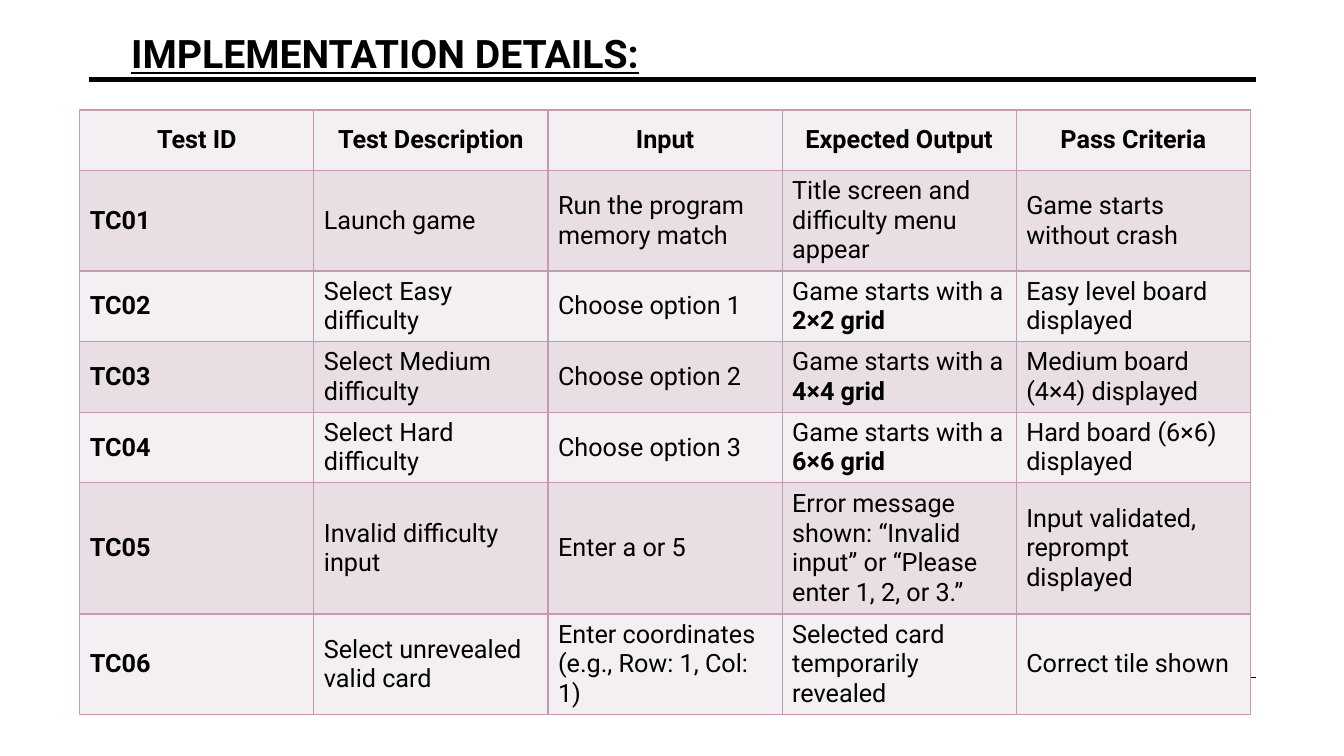
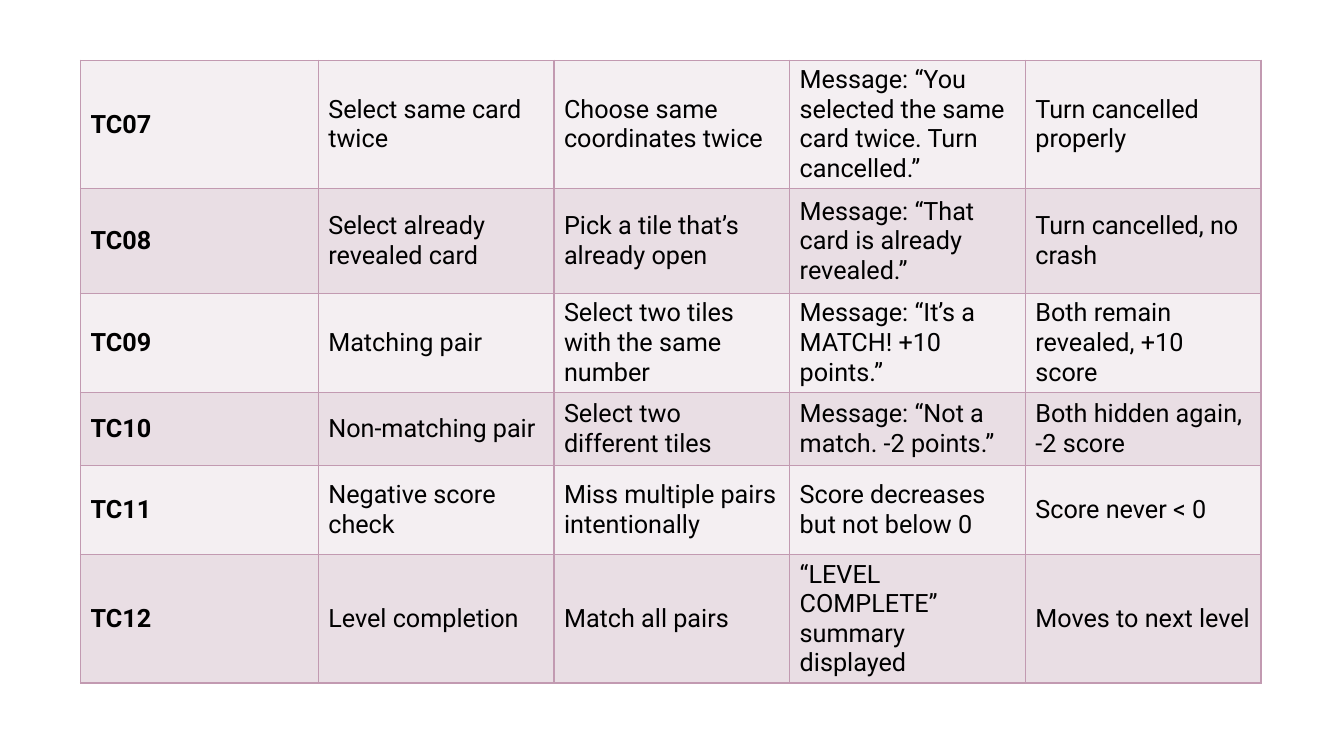
from lxml import etree
from pptx import Presentation
from pptx.dml.color import RGBColor
from pptx.enum.shapes import MSO_CONNECTOR
from pptx.enum.text import MSO_ANCHOR, MSO_AUTO_SIZE, PP_ALIGN
from pptx.oxml.ns import qn
from pptx.util import Cm, Pt

STRAIGHT = MSO_CONNECTOR.STRAIGHT
MIDDLE = MSO_ANCHOR.MIDDLE
FIT = MSO_AUTO_SIZE.SHAPE_TO_FIT_TEXT
LEFT, CENTER = PP_ALIGN.LEFT, PP_ALIGN.CENTER

BLACK = RGBColor(0x00, 0x00, 0x00)
PALE = RGBColor(0xF4, 0xEF, 0xF2)
PINK = RGBColor(0xE9, 0xDE, 0xE4)
MAUVE = RGBColor(0xC2, 0x9A, 0xB1)
FONT = "Roboto"
TITLE_ONLY, BLANK = 5, 6

HEADS = ["Test ID", "Test Description", "Input", "Expected Output", "Pass Criteria"]
START_TESTS = [
    ["TC01", "Launch game", "Run the program memory match",
     "Title screen and difficulty menu appear", "Game starts without crash"],
    ["TC02", "Select Easy difficulty", "Choose option 1",
     "Game starts with a |2×2 grid", "Easy level board displayed"],
    ["TC03", "Select Medium difficulty", "Choose option 2",
     "Game starts with a |4×4 grid", "Medium board (4×4) displayed"],
    ["TC04", "Select Hard difficulty", "Choose option 3",
     "Game starts with a |6×6 grid", "Hard board (6×6) displayed"],
    ["TC05", "Invalid difficulty input", "Enter a or 5",
     "Error message shown: “Invalid input” or “Please enter 1, 2, or 3.”",
     "Input validated, reprompt displayed"],
    ["TC06", "Select unrevealed valid card", "Enter coordinates (e.g., Row: 1, Col: 1)",
     "Selected card temporarily revealed", "Correct tile shown"],
]
PLAY_TESTS = [
    ["TC07", "Select same card twice", "Choose same coordinates twice",
     "Message: “You selected the same card twice. Turn cancelled.”",
     "Turn cancelled properly"],
    ["TC08", "Select already revealed card", "Pick a tile that’s already open",
     "Message: “That card is already revealed.”", "Turn cancelled, no crash"],
    ["TC09", "Matching pair", "Select two tiles with the same number",
     "Message: “It’s a MATCH! +10 points.”", "Both remain revealed, +10 score"],
    ["TC10", "Non-matching pair", "Select two different tiles",
     "Message: “Not a match. -2 points.”", "Both hidden again, -2 score"],
    ["TC11", "Negative score check", "Miss multiple pairs intentionally",
     "Score decreases but not below 0", "Score never < 0"],
    ["TC12", "Level completion", "Match all pairs",
     "“LEVEL COMPLETE” summary displayed", "Moves to next level"],
]


def set_font(font, size, bold):
    font.name = FONT
    font.size = Pt(size)
    font.bold = bold
    font.color.rgb = BLACK


def add_rule(slide, top, weight):
    rule = slide.shapes.add_connector(STRAIGHT, Cm(2.24), Cm(top), Cm(31.65), Cm(top))
    rule.line.color.rgb = BLACK
    rule.line.width = Pt(weight)
    etree.SubElement(rule.element.spPr, qn("a:effectLst"))
    slide.slide_layout.slide_master.shapes.element.append(rule.element)


def set_title(slide, text):
    title = slide.shapes.title
    title.left, title.top = Cm(3.05), Cm(0.61)
    title.width, title.height = Cm(15.42), Cm(1.45)
    frame = title.text_frame
    frame.text = text
    frame.word_wrap = False
    frame.auto_size = FIT
    frame.vertical_anchor = MIDDLE
    line = frame.paragraphs[0]
    line.alignment = LEFT
    set_font(line.font, 28, True)
    line.font.underline = True


def add_border(cell):
    props = cell._tc.get_or_add_tcPr()
    for side in ("lnL", "lnR", "lnT", "lnB"):
        edge = etree.SubElement(props, qn(f"a:{side}"), w=str(Pt(1)))
        fill = etree.SubElement(edge, qn("a:solidFill"))
        etree.SubElement(fill, qn("a:srgbClr"), val=str(MAUVE))


def fill_cell(cell, text, color, bold, align):
    add_border(cell)
    cell.fill.solid()
    cell.fill.fore_color.rgb = color
    cell.vertical_anchor = MIDDLE
    line = cell.text_frame.paragraphs[0]
    line.alignment = align
    set_font(line.font, 18, bold)
    plain, _, strong = text.partition("|")
    line.add_run().text = plain
    if strong:
        run = line.add_run()
        run.text = strong
        run.font.bold = True


def add_tests(slide, left, top, widths, heights, rows):
    frame = slide.shapes.add_table(len(rows), len(widths), Cm(left), Cm(top),
                                   Cm(sum(widths)), Cm(sum(heights)))
    table = frame.table
    table.first_row = table.horz_banding = False
    for col, width in zip(table.columns, widths):
        col.width = Cm(width)
    for i, (row, height) in enumerate(zip(table.rows, heights)):
        row.height = Cm(height)
        head = rows[i] is HEADS
        color = PINK if i % 2 else PALE
        for j, text in enumerate(rows[i]):
            fill_cell(row.cells[j], text, color, head or j == 0,
                      CENTER if head else LEFT)


def main():
    deck = Presentation()
    deck.slide_width, deck.slide_height = Cm(33.87), Cm(19.05)

    slide = deck.slides.add_slide(deck.slide_layouts[TITLE_ONLY])
    add_rule(slide, 2.01, 3.5)
    add_rule(slide, 17.07, 1)
    add_tests(slide, 2.01, 2.77, [5.9] * 5,
              [1.52, 2.08, 1.52, 1.52, 1.52, 2.72, 2.08], [HEADS] + START_TESTS)
    set_title(slide, "IMPLEMENTATION DETAILS:")

    slide = deck.slides.add_slide(deck.slide_layouts[BLANK])
    add_tests(slide, 2.03, 1.52, [5.99] + [5.94] * 4,
              [2.64, 2.64, 1.85, 1.85, 2.24, 2.64], PLAY_TESTS)

    deck.save("out.pptx")


if __name__ == "__main__":
    main()
